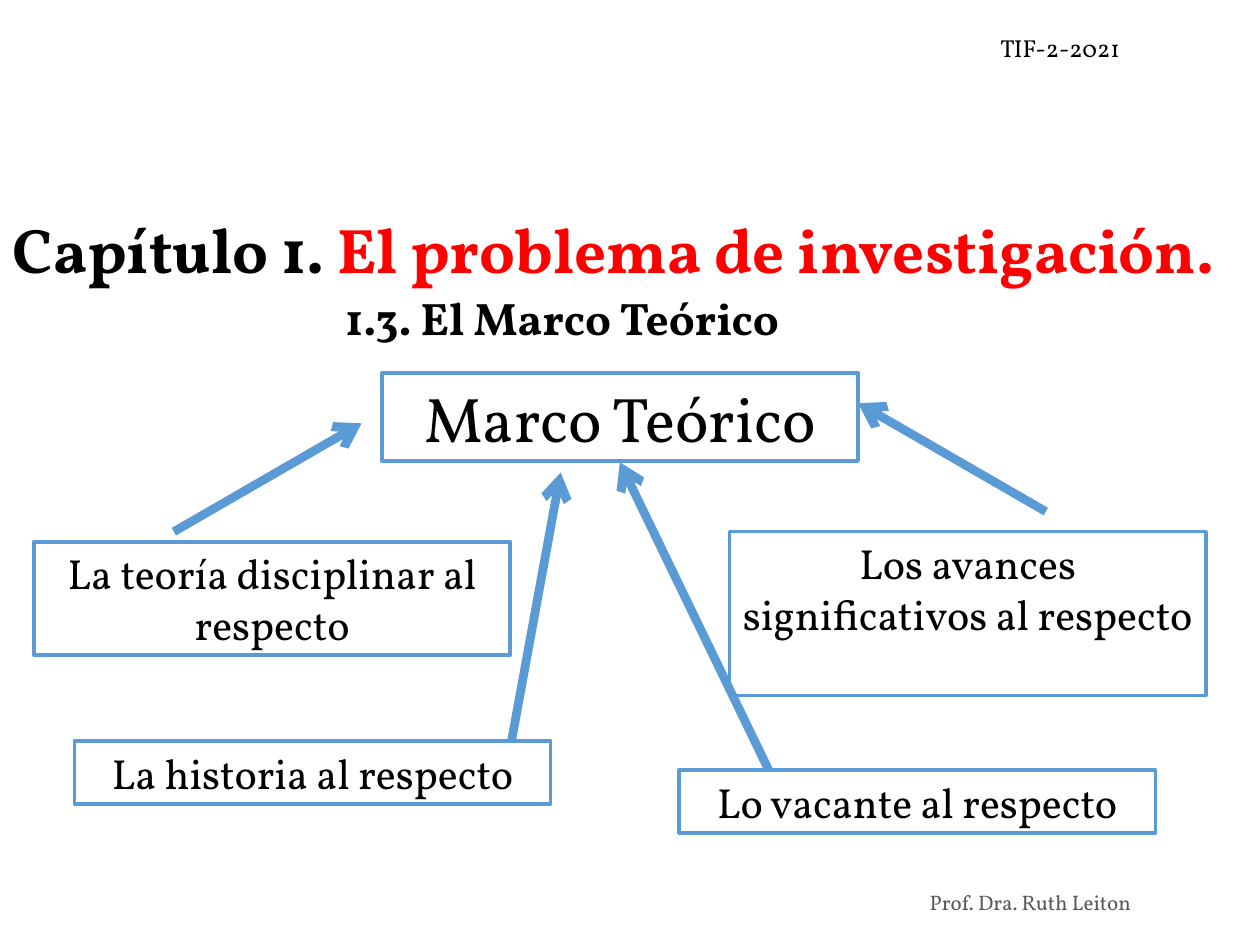
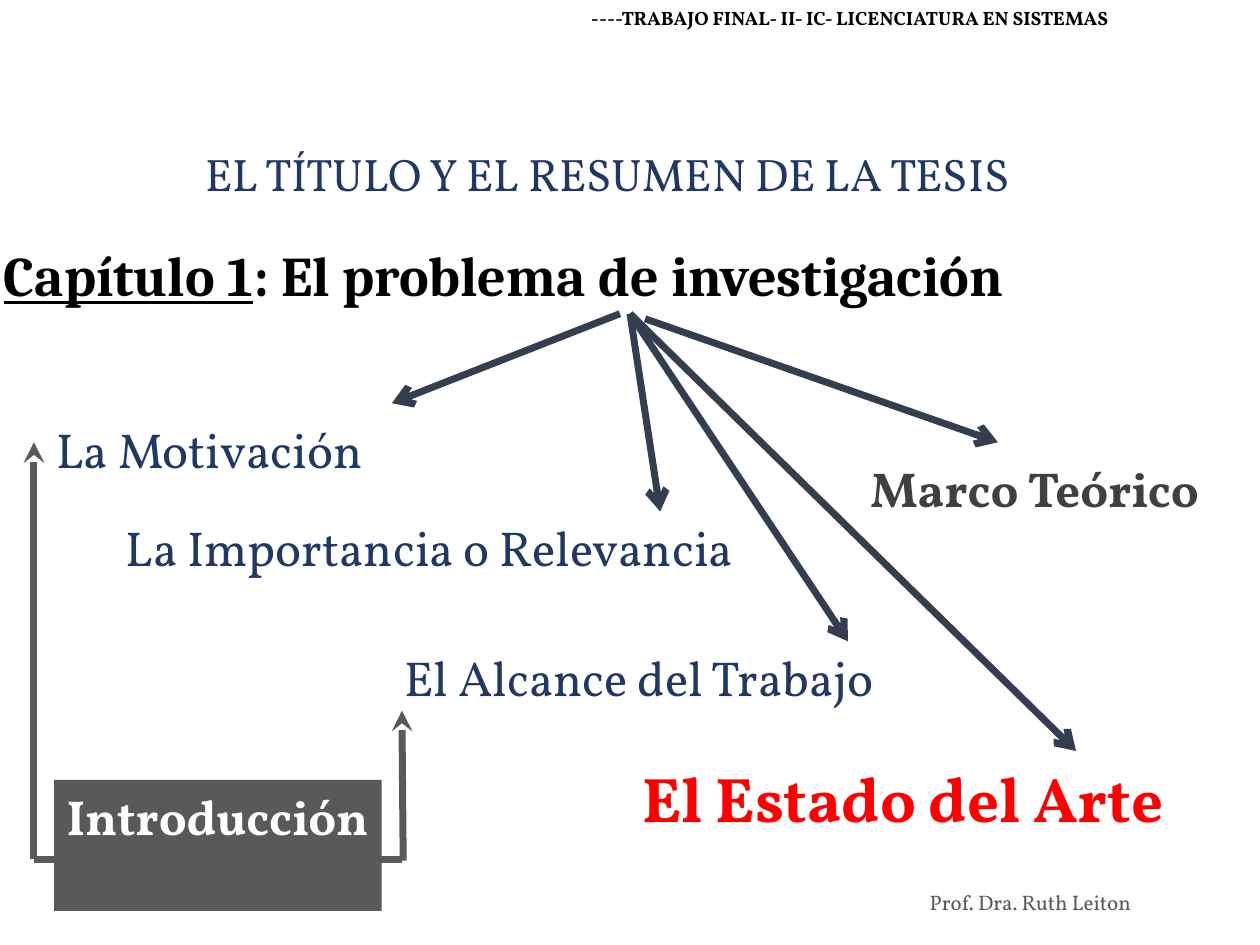
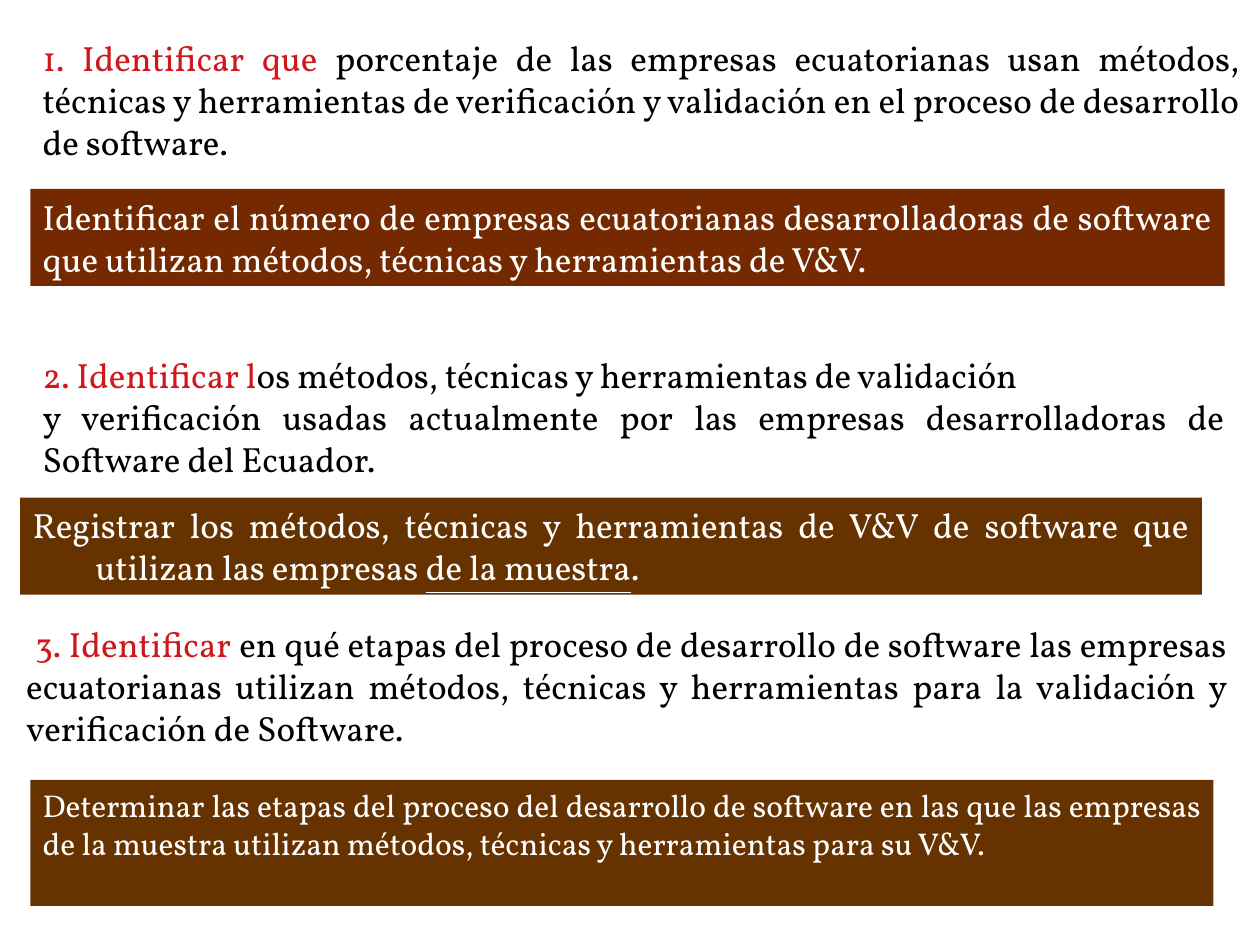
from dataclasses import dataclass

from lxml.etree import SubElement
from pptx import Presentation
from pptx.dml.color import RGBColor
from pptx.enum.shapes import MSO_CONNECTOR as Connector, MSO_SHAPE as Preset
from pptx.enum.text import MSO_ANCHOR as Anchor, MSO_AUTO_SIZE as AutoSize, PP_ALIGN as Align
from pptx.oxml.ns import qn
from pptx.shapes.base import BaseShape
from pptx.slide import Slide
from pptx.util import Inches, Pt

BLACK = RGBColor(0x00, 0x00, 0x00)
WHITE = RGBColor(0xFF, 0xFF, 0xFF)
RED = RGBColor(0xFF, 0x00, 0x00)
CRIMSON = RGBColor(0xCE, 0x18, 0x1E)
BLUE = RGBColor(0x5B, 0x9B, 0xD5)
NAVY = RGBColor(0x20, 0x38, 0x64)
SLATE = RGBColor(0x33, 0x3F, 0x50)
GREY = RGBColor(0x59, 0x59, 0x59)
DARK_GREY = RGBColor(0x40, 0x40, 0x40)
RUST = RGBColor(0x74, 0x29, 0x00)
BROWN = RGBColor(0x66, 0x33, 0x00)

FONT = "Vollkorn"
TITLE_ONLY, BLANK = 5, 6
FRAME_FORMAT = {
    "word_wrap": True,
    "auto_size": AutoSize.NONE,
    "vertical_anchor": Anchor.TOP,
    "margin_left": Inches(0.1),
    "margin_right": Inches(0.1),
    "margin_top": Inches(0.05),
    "margin_bottom": Inches(0.05),
}


@dataclass(frozen=True)
class Run:
    text: str
    color: RGBColor = BLACK
    underline: bool = False


@dataclass(frozen=True)
class TextBlock:
    """Text with its place in inches; a fill or an outline makes it a rectangle."""
    place: tuple[float, float, float, float]
    paragraphs: tuple[tuple[Run, ...], ...]
    size: int
    bold: bool = False
    align: Align = Align.LEFT
    font: str = FONT
    fill: RGBColor | None = None
    outline: RGBColor | None = None
    first_indent: float = 0
    left_indent: float = 0


@dataclass(frozen=True)
class Line:
    start: tuple[float, float]
    end: tuple[float, float]
    color: RGBColor
    width: int
    arrow: str = "arrow"


def label(place: tuple[float, float, float, float], text: str, size: int,
          color: RGBColor = BLACK, **options) -> TextBlock:
    """A block with one run of text."""
    return TextBlock(place, ((Run(text, color),),), size, **options)


def set_all(target: object, values: dict) -> None:
    for name, value in values.items():
        setattr(target, name, value)


def write_text(shape: BaseShape, block: TextBlock) -> None:
    frame = shape.text_frame
    set_all(frame, FRAME_FORMAT)
    for index, runs in enumerate(block.paragraphs):
        paragraph = frame.add_paragraph() if index else frame.paragraphs[0]
        paragraph.alignment = block.align
        if block.first_indent or block.left_indent:
            properties = paragraph._p.get_or_add_pPr()
            properties.set("marL", str(Inches(block.left_indent)))
            properties.set("indent", str(Inches(block.first_indent)))
        for item in runs:
            run = paragraph.add_run()
            run.text = item.text
            set_all(run.font, {"name": block.font, "size": Pt(block.size),
                               "bold": block.bold, "underline": item.underline})
            run.font.color.rgb = item.color


def draw_block(slide: Slide, block: TextBlock) -> None:
    place = [Inches(value) for value in block.place]
    if block.fill is None and block.outline is None:
        shape = slide.shapes.add_textbox(*place)
    else:
        shape = slide.shapes.add_shape(Preset.RECTANGLE, *place)
        shape.shadow.inherit = False
        for part, color in ((shape.fill, block.fill), (shape.line.fill, block.outline)):
            if color is None:
                part.background()
            else:
                part.solid()
                part.fore_color.rgb = color
        if block.outline is not None:
            shape.line.width = Pt(2)
    write_text(shape, block)


def draw_title(slide: Slide, block: TextBlock) -> None:
    title = slide.shapes.title
    set_all(title, dict(zip(("left", "top", "width", "height"), map(Inches, block.place))))
    write_text(title, block)


def draw_line(slide: Slide, line: Line) -> None:
    ends = [Inches(value) for value in line.start + line.end]
    connector = slide.shapes.add_connector(Connector.STRAIGHT, *ends)
    connector.line.color.rgb = line.color
    connector.line.width = Pt(line.width)
    properties = connector._element.spPr
    if line.arrow:
        SubElement(properties.find(qn("a:ln")), qn("a:tailEnd"), type=line.arrow)
    SubElement(properties, qn("a:effectLst"))


FOOTER = label((7.28, 7.01, 2.39, 0.3), "Prof. Dra. Ruth Leiton", 12, GREY)


def add_framework_slide(presentation: Presentation) -> None:
    slide = presentation.slides.add_slide(presentation.slide_layouts[TITLE_ONLY])
    draw_title(slide, TextBlock(
        (0, 1.62, 10, 1.3),
        ((Run("Capítulo 1. "), Run("El problema de investigación.", RED)),), 36, bold=True))
    draw_block(slide, FOOTER)
    draw_block(slide, label((2.64, 2.25, 4.96, 0.54), "1.3. El Marco Teórico", 26, bold=True))
    draw_block(slide, label((7.84, 0.21, 1.65, 0.34), "TIF-2-2021", 14))

    box_width = 3.78
    for left, top, height, text, size in (
        (3.03, 2.96, 0.7, "Marco Teórico", 36),
        (0.27, 4.3, 0.9, "La teoría disciplinar al respecto", 24),
        (5.79, 4.22, 1.3, "Los avances significativos al respecto", 24),
        (0.59, 5.88, 0.5, "La historia al respecto", 24),
        (5.39, 6.11, 0.5, "Lo vacante al respecto", 24),
    ):
        draw_block(slide, label((left, top, box_width, height), text, size,
                                align=Align.CENTER, outline=BLUE))
    for start, end in (
        ((1.38, 4.22), (2.87, 3.36)),
        ((8.3, 4.06), (6.81, 3.2)),
        ((4.06, 5.88), (4.45, 3.75)),
        ((6.1, 6.11), (4.92, 3.67)),
    ):
        draw_line(slide, Line(start, end, BLUE, 5))


def add_chapter_slide(presentation: Presentation) -> None:
    slide = presentation.slides.add_slide(presentation.slide_layouts[TITLE_ONLY])
    draw_title(slide, TextBlock(
        (-0.07, 1.86, 9.57, 0.64),
        ((Run("Capítulo 1", underline=True), Run(": El problema de investigación")),),
        32, bold=True, font="Cambria"))

    hub = (5, 2.49)
    for start, end in (
        ((4.92, 2.49), (3.11, 3.2)),
        (hub, (5.24, 4.06)),
        (hub, (6.73, 5.09)),
        (hub, (8.54, 5.96)),
        ((5.12, 2.53), (7.92, 3.51)),
    ):
        draw_line(slide, Line(start, end, SLATE, 4))
    for start, end, arrow in (
        ((0.27, 6.82), (0.27, 3.51), "stealth"),
        ((3.19, 6.82), (0.27, 6.82), ""),
        ((3.2, 6.83), (3.19, 5.64), "stealth"),
    ):
        draw_line(slide, Line(start, end, GREY, 4, arrow))

    for block in (
        FOOTER,
        label((0, 0, 8.9, 0.29), "----TRABAJO FINAL- II- IC- LICENCIATURA EN SISTEMAS", 11,
              bold=True, align=Align.RIGHT),
        label((1.53, 1.11, 7.18, 0.54), "EL TÍTULO Y EL RESUMEN DE LA TESIS", 26, NAVY),
        label((0.35, 3.28, 2.99, 0.57), "La Motivación", 28, NAVY),
        label((0.9, 4.06, 5.36, 1.04), "La Importancia o Relevancia", 28, NAVY),
        label((3.11, 5.09, 4.49, 0.57), "El Alcance del Trabajo", 28, NAVY),
        label((5, 5.98, 4.81, 0.7), "El Estado del Arte", 36, RED, bold=True),
        label((6.81, 3.59, 2.92, 1.04), "Marco Teórico", 28, DARK_GREY, bold=True),
        label((0.43, 6.19, 2.6, 1.04), "Introducción", 28, WHITE, bold=True, fill=GREY),
    ):
        draw_block(slide, block)


def add_objectives_slide(presentation: Presentation) -> None:
    slide = presentation.slides.add_slide(presentation.slide_layouts[BLANK])
    justified = {"align": Align.JUSTIFY}
    for block in (
        TextBlock((0.24, 0.24, 9.7, 1.1), ((
            Run("1. Identificar que", CRIMSON),
            Run(" porcentaje de las empresas ecuatorianas usan métodos, técnicas y herramientas "
                "de verificación y validación en el proceso de desarrollo de software."),
        ),), 20, **justified),
        label((0.24, 1.5, 9.48, 0.77),
              "Identificar el número de empresas ecuatorianas desarrolladoras de software "
              "que utilizan métodos, técnicas y herramientas de V&V.",
              20, WHITE, fill=RUST, **justified),
        TextBlock((0.24, 2.76, 9.58, 1.1), (
            (Run("2. Identificar l", CRIMSON),
             Run("os métodos, técnicas y herramientas de validación")),
            (Run("y verificación usadas actualmente por las empresas desarrolladoras de "
                 "Software del Ecuador."),),
        ), 20, **justified),
        TextBlock((0.16, 3.95, 9.38, 0.77), ((
            Run("Registrar los métodos, técnicas y herramientas de V&V de software que "
                "utilizan las empresas ", WHITE),
            Run("de la muestra", WHITE, underline=True),
            Run(".", WHITE),
        ),), 20, fill=BROWN, left_indent=0.5, first_indent=-0.5, **justified),
        TextBlock((0.11, 4.89, 9.73, 1.1), ((
            Run("3. Identificar ", CRIMSON),
            Run("en qué etapas del proceso de desarrollo de software las empresas ecuatorianas "
                "utilizan métodos, técnicas y herramientas para la validación y verificación "
                "de Software."),
        ),), 20, first_indent=0.07, **justified),
        label((0.24, 6.19, 9.39, 1),
              "Determinar las etapas del proceso del desarrollo de software en las que las "
              "empresas de la muestra utilizan métodos, técnicas y herramientas para su V&V.",
              18, WHITE, fill=BROWN, **justified),
    ):
        draw_block(slide, block)


def main() -> None:
    presentation = Presentation()
    presentation.slide_width = Inches(10)
    presentation.slide_height = Inches(7.5)
    add_framework_slide(presentation)
    add_chapter_slide(presentation)
    add_objectives_slide(presentation)
    presentation.save("out.pptx")


if __name__ == "__main__":
    main()
